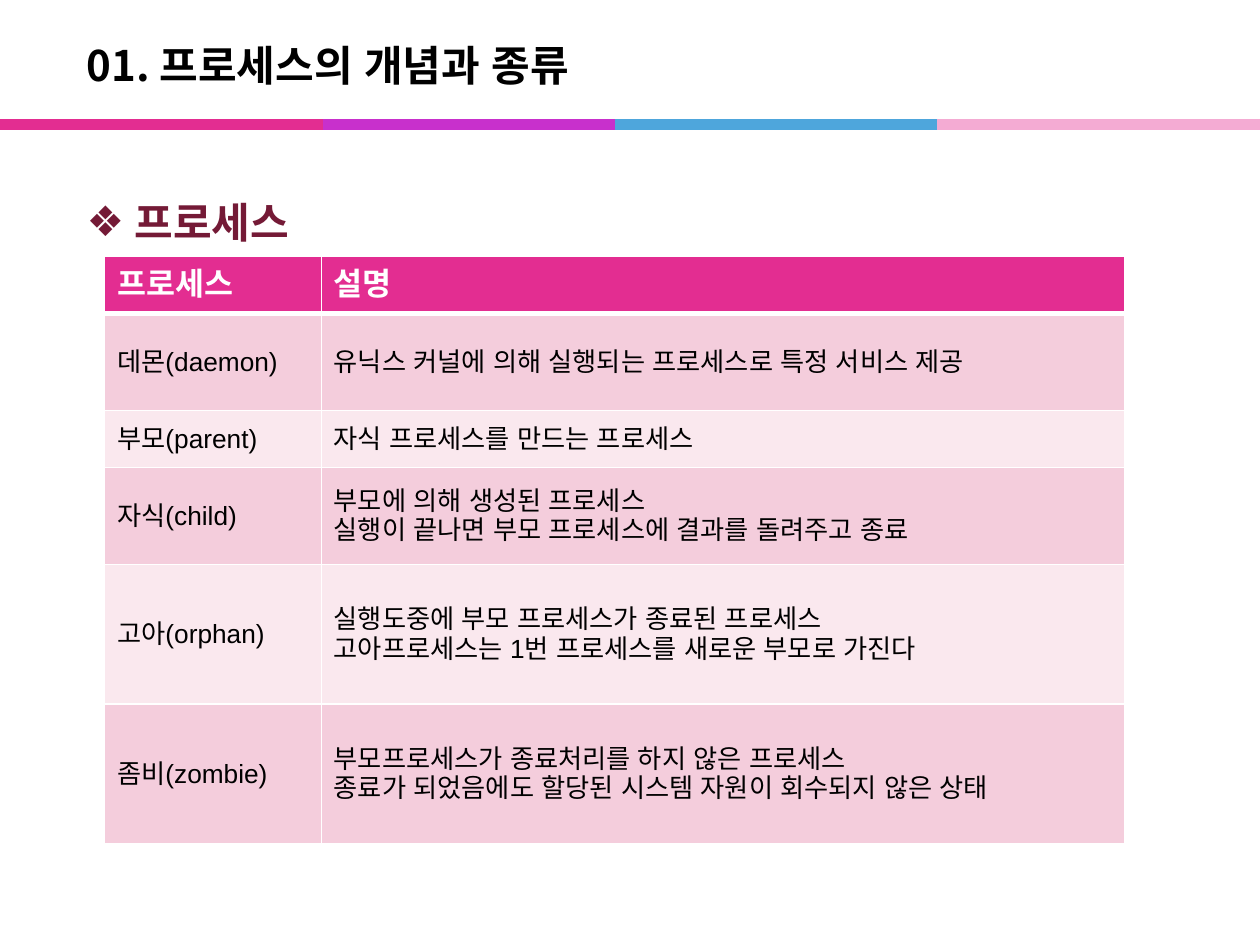
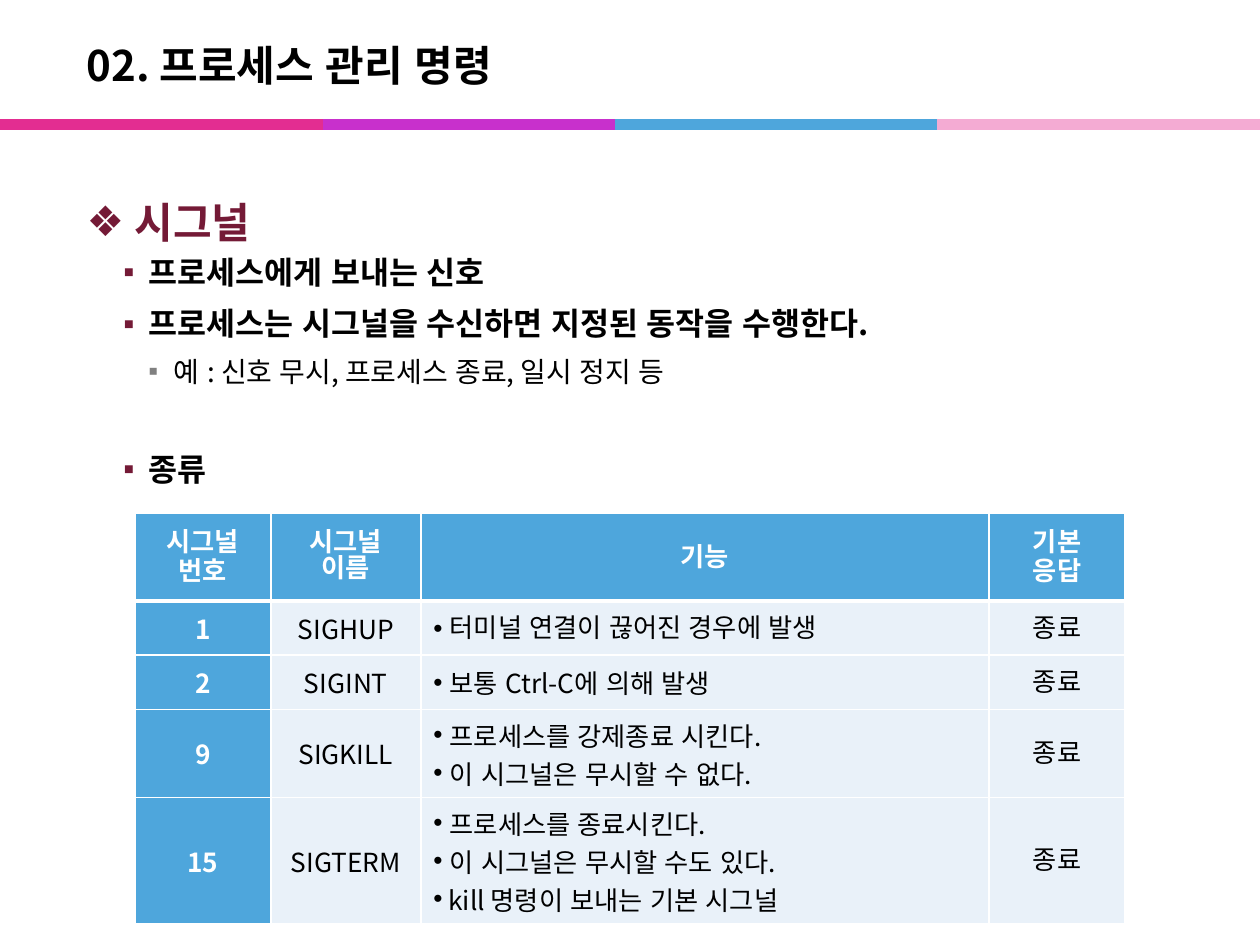
import pptx
import pptx.util
import pptx.dml.color
import pptx.enum.shapes
import pptx.enum.text
import pptx.oxml.ns
import lxml.etree

Inches = pptx.util.Inches
Pt = pptx.util.Pt
ANCHOR = pptx.enum.text.MSO_ANCHOR
ALIGN = pptx.enum.text.PP_ALIGN

COLORS = {
    "pink": "E32D91", "purple": "C830CC", "blue": "4EA6DC", "light_pink": "F4ABD3",
    "heading": "741A36", "gray": "808080", "black": "000000", "white": "FFFFFF",
    "rose": "F4CDDC", "pale_rose": "FAE8EE", "pale_blue": "E9F1F9",
}
KOREAN, LATIN = "Noto Sans CJK KR", "Arial"
TITLE_BOX = (0.59, 0.21, 8.27, 0.6)
BODY_BOX = (0.59, 1.31, 9.06, 5.91)

# Outline levels: size, font, bold, colour, bullet, bullet colour, indent, hanging, space after
LEVELS = [
    (24, LATIN, True, "heading", "❖", "heading", 0.38, 0.38, 0),
    (18, KOREAN, True, "black", "▪", "heading", 0.49, 0.2, 4),
    (16, KOREAN, False, "black", "▪", "gray", 0.69, 0.2, 3),
]

PROCESS_ROWS = [
    ["프로세스", "설명"],
    ["데몬(daemon)", "유닉스 커널에 의해 실행되는 프로세스로 특정 서비스 제공"],
    ["부모(parent)", "자식 프로세스를 만드는 프로세스"],
    ["자식(child)", "부모에 의해 생성된 프로세스\n실행이 끝나면 부모 프로세스에 결과를 돌려주고 종료"],
    ["고아(orphan)", "실행도중에 부모 프로세스가 종료된 프로세스\n"
                   "고아프로세스는 1번 프로세스를 새로운 부모로 가진다"],
    ["좀비(zombie)", "부모프로세스가 종료처리를 하지 않은 프로세스\n"
                   "종료가 되었음에도 할당된 시스템 자원이 회수되지 않은 상태"],
]
SIGNAL_ROWS = [
    ["시그널\n번호", "시그널\n이름", "기능", "기본\n응답"],
    ["1", "SIGHUP", " 터미널 연결이 끊어진 경우에 발생", "종료"],
    ["2", "SIGINT", " 보통 Ctrl-C에 의해 발생", "종료"],
    ["9", "SIGKILL", " 프로세스를 강제종료 시킨다.\n 이 시그널은 무시할 수 없다.", "종료"],
    ["15", "SIGTERM", " 프로세스를 종료시킨다.\n 이 시그널은 무시할 수도 있다.\n"
                      " kill 명령이 보내는 기본 시그널", "종료"],
]


def rgb(name):
    return pptx.dml.color.RGBColor.from_string(COLORS[name])


def add_xml(parent, tag, **attributes):
    return lxml.etree.SubElement(parent, pptx.oxml.ns.qn(tag), attributes)


def style_para(para, size, font, bold, color):
    for span in para.runs:
        span.font.size = Pt(size)
        span.font.name = font
        span.font.bold = bold
        span.font.color.rgb = rgb(color)
        add_xml(span.font._element, "a:ea", typeface=LATIN)


def add_bullet(para, char, color, indent=0, hanging=0):
    props = para._p.get_or_add_pPr()
    props.set("marL", str(Inches(indent)))
    props.set("indent", str(-Inches(hanging)))
    add_xml(add_xml(props, "a:buClr"), "a:srgbClr", val=COLORS[color])
    add_xml(props, "a:buFont", typeface=LATIN)
    add_xml(props, "a:buChar", char=char)


def add_text_box(page, box):
    frame = page.shapes.add_textbox(*map(Inches, box)).text_frame
    frame.word_wrap = True
    return frame


# Title and the four-coloured band below it
def add_header(page, title):
    frame = add_text_box(page, TITLE_BOX)
    frame.vertical_anchor = ANCHOR.MIDDLE
    frame.text = title
    style_para(frame.paragraphs[0], 24, KOREAN, True, "black")

    edges = [0, 2.56, 4.88, 7.44, 10]
    for color, left, right in zip(("pink", "purple", "blue", "light_pink"), edges, edges[1:]):
        band = page.shapes.add_connector(
            pptx.enum.shapes.MSO_CONNECTOR.STRAIGHT,
            Inches(left), Inches(0.99), Inches(right), Inches(0.99))
        band.line.color.rgb = rgb(color)
        band.line.width = Pt(6)
        add_xml(band._element.spPr, "a:effectLst")


# Bulleted outline: items are (level, text, space before)
def add_outline(page, box, items):
    frame = add_text_box(page, box)
    for index, (level, text, before) in enumerate(items):
        size, font, bold, color, char, bullet_color, indent, hanging, after = LEVELS[level]
        para = frame.add_paragraph() if index else frame.paragraphs[0]
        para.text = text
        style_para(para, size, font, bold, color)
        para.space_before = Pt(before)
        para.space_after = Pt(after)
        if level == 0:
            para.line_spacing = 1.5
        add_bullet(para, char, bullet_color, indent, hanging)


def set_borders(cell, is_header):
    props = cell._tc.get_or_add_tcPr()
    fill = props[0]
    for side in "LRTB":
        width = 3 if is_header and side == "B" else 1
        line = add_xml(props, f"a:ln{side}", w=str(Pt(width)))
        add_xml(add_xml(line, "a:solidFill"), "a:srgbClr", val=COLORS["white"])
    props.append(fill)


def add_grid(page, left, top, widths, heights, rows, style_cell):
    """style_cell(row, column) gives fill, size, font, bold, colour, centred, bulleted."""
    grid = page.shapes.add_table(
        len(rows), len(widths), Inches(left), Inches(top),
        Inches(sum(widths)), Inches(sum(heights))).table
    grid.horz_banding = False
    for column, width in zip(grid.columns, widths):
        column.width = Inches(width)
    for r, (texts, height) in enumerate(zip(rows, heights)):
        grid.rows[r].height = Inches(height)
        for c, text in enumerate(texts):
            fill, size, font, bold, color, centred, bulleted = style_cell(r, c)
            cell = grid.cell(r, c)
            cell.text_frame.text = text
            cell.vertical_anchor = ANCHOR.MIDDLE
            cell.fill.solid()
            cell.fill.fore_color.rgb = rgb(fill)
            set_borders(cell, r == 0)
            for para in cell.text_frame.paragraphs:
                style_para(para, size, font, bold, color)
                if centred:
                    para.alignment = ALIGN.CENTER
                if bulleted:
                    add_bullet(para, "•", color)
    return grid


def process_style(row, column):
    if row == 0:
        return "pink", 18, LATIN, True, "white", False, False
    fill = "rose" if row % 2 else "pale_rose"
    return fill, 15, LATIN, False, "black", False, False


def signal_style(row, column):
    if row == 0 or column == 0:
        return "blue", 15, KOREAN, True, "white", True, False
    is_function = column == 2
    return "pale_blue", 15, KOREAN, False, "black", not is_function, is_function


def build_process_page(page):
    add_header(page, "01. 프로세스의 개념과 종류")
    add_outline(page, BODY_BOX, [(0, "프로세스", 0)])
    add_grid(page, 0.83, 2.03, [1.72, 6.38], [0.46, 0.77, 0.45, 0.77, 1.11, 1.11],
             PROCESS_ROWS, process_style)


def build_signal_page(page):
    add_header(page, "02. 프로세스 관리 명령")
    add_outline(page, BODY_BOX, [
        (0, "시그널", 0),
        (1, "프로세스에게 보내는 신호", 3.6),
        (1, "프로세스는 시그널을 수신하면 지정된 동작을 수행한다.", 3.6),
        (2, "예 : 신호 무시, 프로세스 종료, 일시 정지 등", 3.2),
        (1, "종류", 32.4),
    ])
    grid = add_grid(page, 1.07, 4.07, [1.08, 1.19, 4.51, 1.08], [0.7, 0.43, 0.43, 0.7, 1],
                    SIGNAL_ROWS, signal_style)
    for para in grid.cell(0, 1).text_frame.paragraphs:
        para.line_spacing = 0.9


def main():
    deck = pptx.Presentation()
    deck.slide_width, deck.slide_height = Inches(10), Inches(7.5)
    for build in (build_process_page, build_signal_page):
        build(deck.slides.add_slide(deck.slide_layouts[6]))
    deck.save("out.pptx")


if __name__ == "__main__":
    main()
